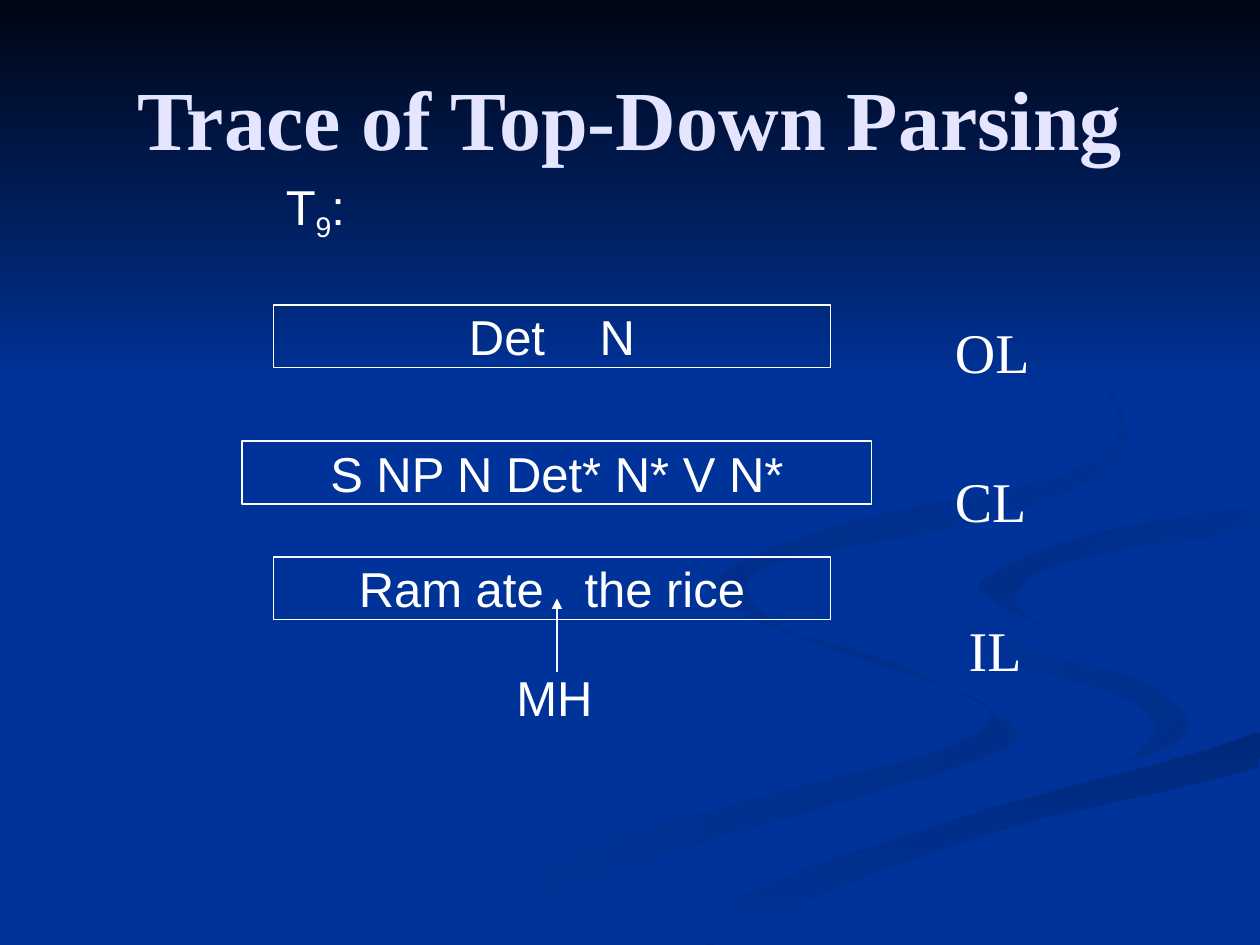
from dataclasses import dataclass

import pptx
import pptx.dml.color
import pptx.enum.dml
import pptx.enum.shapes
import pptx.enum.text
import pptx.oxml
import pptx.oxml.ns
import pptx.util

Inches = pptx.util.Inches
Pt = pptx.util.Pt
PP_ALIGN = pptx.enum.text.PP_ALIGN
MSO_ANCHOR = pptx.enum.text.MSO_ANCHOR
MSO_SHAPE = pptx.enum.shapes.MSO_SHAPE

NIGHT, BLUE, WHITE, LAVENDER = "000514", "003399", "FFFFFF", "E5E5FF"
SANS, SERIF = "Arial", "Times New Roman"
SPACE_WIDTH = 0.278
CURVE_STEPS = 4
SLIDE_WIDTH, SLIDE_HEIGHT = 10, 7.5

Points = tuple[tuple[int, int], ...]


@dataclass(frozen=True)
class Ribbon:
    start: str
    end: str
    angle: int
    points: Points


@dataclass(frozen=True)
class Piece:
    text: str
    baseline: int = 0
    extra_spaces: int = 0


@dataclass(frozen=True)
class Style:
    font: str = SANS
    size: int = 28
    color: str = WHITE
    bold: bool = False
    align: PP_ALIGN = PP_ALIGN.LEFT
    anchor: MSO_ANCHOR = MSO_ANCHOR.TOP


@dataclass(frozen=True)
class Tape:
    left: float
    top: float
    width: float
    pieces: tuple[Piece, ...]


@dataclass(frozen=True)
class ListLabel:
    text: str
    left: float


LEFT_BEND: Points = (
    (575, 459), (572, 476), (631, 505), (767, 551), (785, 570), (739, 598), (579, 639), (417, 690),
    (300, 749), (361, 749), (499, 687), (676, 634), (791, 597), (799, 573), (715, 528), (614, 496))
RIGHT_BEND_OUTER: Points = (
    (724, 464), (745, 490), (830, 519), (905, 540), (943, 570), (932, 589), (894, 605))
RIGHT_BEND: Points = RIGHT_BEND_OUTER + ((917, 581), (892, 553), (797, 524), (739, 494))
LOWER_TOP_EDGE: Points = ((503, 749), (630, 693), (797, 638), (998, 581))
LOWER_STREAM: Points = LOWER_TOP_EDGE + ((998, 609), (821, 651), (670, 702), (571, 749))
HOOK_TOP_EDGE: Points = ((781, 460), (865, 424), (998, 402))
HOOK: Points = HOOK_TOP_EDGE + ((998, 420), (896, 435), (828, 453), (805, 476), (826, 496), (791, 478))
MAIN_STREAM: Points = (RIGHT_BEND_OUTER + ((663, 668), (477, 749)) + LOWER_TOP_EDGE
                       + ((998, 538), (832, 498)) + HOOK_TOP_EDGE + ((998, 387), (808, 417)))
UPPER_BEND: Points = (
    (762, 233), (846, 279), (889, 335), (842, 378), (676, 414), (580, 451), (580, 474), (622, 500),
    (593, 470), (624, 444), (786, 412), (883, 370), (890, 324), (843, 275))

RIBBONS = (
    Ribbon("002E8A", BLUE, 180, LEFT_BEND),
    Ribbon("002E8A", BLUE, 225, RIGHT_BEND),
    Ribbon("00297C", BLUE, 90, LOWER_STREAM),
    Ribbon(BLUE, BLUE, 0, MAIN_STREAM),
    Ribbon(BLUE, "002C85", 225, HOOK),
    Ribbon(BLUE, "002B81", 225, UPPER_BEND),
)

TAPES = (
    Tape(2.17, 2.42, 4.42, (Piece("Det"), Piece(" ", extra_spaces=3), Piece("N"))),
    Tape(1.92, 3.5, 5, (Piece("S NP N Det* N* V N*"),)),
    Tape(2.17, 4.42, 4.42, (Piece("Ram ate"), Piece(" ", extra_spaces=2), Piece("the rice"))),
)

LIST_LABELS = (ListLabel("OL", 7.48), ListLabel("CL", 7.48), ListLabel("IL", 7.59))
LABEL_TOP, LABEL_STEP, LABEL_HEIGHT = 2.49, 1.18, 0.6


def rgb(value: str) -> pptx.dml.color.RGBColor:
    return pptx.dml.color.RGBColor.from_string(value)


def blend(a: int, b: int, c: int, d: int, t: float, limit: float) -> int:
    value = b + t * ((c - a) + t * ((2 * a - 5 * b + 4 * c - d) + t * (3 * (b - c) + d - a))) / 2
    return round(min(value, limit * 100))


def smooth(points: Points) -> list[tuple[int, int]]:
    curve = []
    for i in range(len(points)):
        xs, ys = zip(*(points[(i + k) % len(points)] for k in (-1, 0, 1, 2)))
        for step in range(CURVE_STEPS):
            t = step / CURVE_STEPS
            curve.append((blend(*xs, t, SLIDE_WIDTH), blend(*ys, t, SLIDE_HEIGHT)))
    return curve


def paint(band, start: str, end: str, angle: int) -> None:
    band.shadow.inherit = False
    band.line.fill.background()
    if start == end:
        band.fill.solid()
        band.fill.fore_color.rgb = rgb(start)
        return
    band.fill.gradient()
    band.fill.gradient_angle = 360 - angle
    for stop, color in zip(band.fill.gradient_stops, (start, end)):
        stop.color.rgb = rgb(color)


def draw_ribbon(slide, ribbon: Ribbon) -> None:
    curve = smooth(ribbon.points)
    builder = slide.shapes.build_freeform(*curve[0], scale=Inches(0.01))
    builder.add_line_segments(curve[1:], close=True)
    paint(builder.convert_to_shape(), ribbon.start, ribbon.end, ribbon.angle)


def write(frame, pieces: tuple[Piece, ...], style: Style) -> None:
    frame.word_wrap = True
    frame.vertical_anchor = style.anchor
    line = frame.paragraphs[0]
    line.alignment = style.align
    for piece in pieces:
        run = line.add_run()
        run.text = piece.text
        run.font.name = style.font
        run.font.size = Pt(style.size)
        run.font.bold = style.bold
        run.font.color.rgb = rgb(style.color)
        properties = run.font._element
        if piece.baseline:
            properties.set("baseline", str(piece.baseline * 1000))
        if piece.extra_spaces:
            gap = piece.extra_spaces * SPACE_WIDTH * style.size
            properties.set("spc", str(round(gap * 100)))


def draw_text(slide, left: float, top: float, width: float, height: float,
              pieces: tuple[Piece, ...], style: Style) -> None:
    box = slide.shapes.add_textbox(Inches(left), Inches(top), Inches(width), Inches(height))
    write(box.text_frame, pieces, style)


def draw_tape(slide, tape: Tape) -> None:
    cell = slide.shapes.add_shape(MSO_SHAPE.RECTANGLE, Inches(tape.left), Inches(tape.top),
                                  Inches(tape.width), Inches(0.5))
    cell.shadow.inherit = False
    cell.fill.background()
    cell.line.color.rgb = rgb(WHITE)
    cell.line.width = Pt(0.75)
    write(cell.text_frame, tape.pieces, Style(align=PP_ALIGN.CENTER, anchor=MSO_ANCHOR.MIDDLE))


def draw_arrow(slide, x: float, start_y: float, end_y: float) -> None:
    arrow = slide.shapes.add_connector(pptx.enum.shapes.MSO_CONNECTOR.STRAIGHT,
                                       Inches(x), Inches(start_y), Inches(x), Inches(end_y))
    arrow.line.color.rgb = rgb(WHITE)
    arrow.line.width = Pt(0.75)
    namespace = pptx.oxml.ns.nsdecls("a")
    arrow.line._get_or_add_ln().append(
        pptx.oxml.parse_xml(f'<a:tailEnd {namespace} type="triangle"/>'))
    arrow._element.spPr.append(pptx.oxml.parse_xml(f"<a:effectLst {namespace}/>"))


def main() -> None:
    deck = pptx.Presentation()
    deck.slide_width, deck.slide_height = Inches(SLIDE_WIDTH), Inches(SLIDE_HEIGHT)
    slide = deck.slides.add_slide(deck.slide_layouts[6])
    slide.background.fill.solid()
    slide.background.fill.fore_color.rgb = rgb(BLUE)
    for ribbon in RIBBONS:
        draw_ribbon(slide, ribbon)
    sky = slide.shapes.add_shape(MSO_SHAPE.RECTANGLE, 0, 0, Inches(SLIDE_WIDTH), Inches(3.08))
    paint(sky, NIGHT, BLUE, 90)
    draw_text(slide, 0.5, 0.3, 9, 1.25, (Piece("Trace of Top-Down Parsing"),),
              Style(SERIF, 48, LAVENDER, True, PP_ALIGN.CENTER, MSO_ANCHOR.MIDDLE))
    for row, label in enumerate(LIST_LABELS):
        draw_text(slide, label.left, LABEL_TOP + row * LABEL_STEP, 1, LABEL_HEIGHT,
                  (Piece(label.text),), Style(SERIF, 32, anchor=MSO_ANCHOR.MIDDLE))
    for tape in TAPES:
        draw_tape(slide, tape)
    draw_arrow(slide, 4.42, 5.33, 4.75)
    draw_text(slide, 2.17, 1.35, 4.33, 0.63,
              (Piece("T"), Piece("9", baseline=-25), Piece(":")), Style())
    draw_text(slide, 4, 5.25, 0.92, 0.57, (Piece("MH"),), Style())
    deck.save("out.pptx")


if __name__ == "__main__":
    main()
